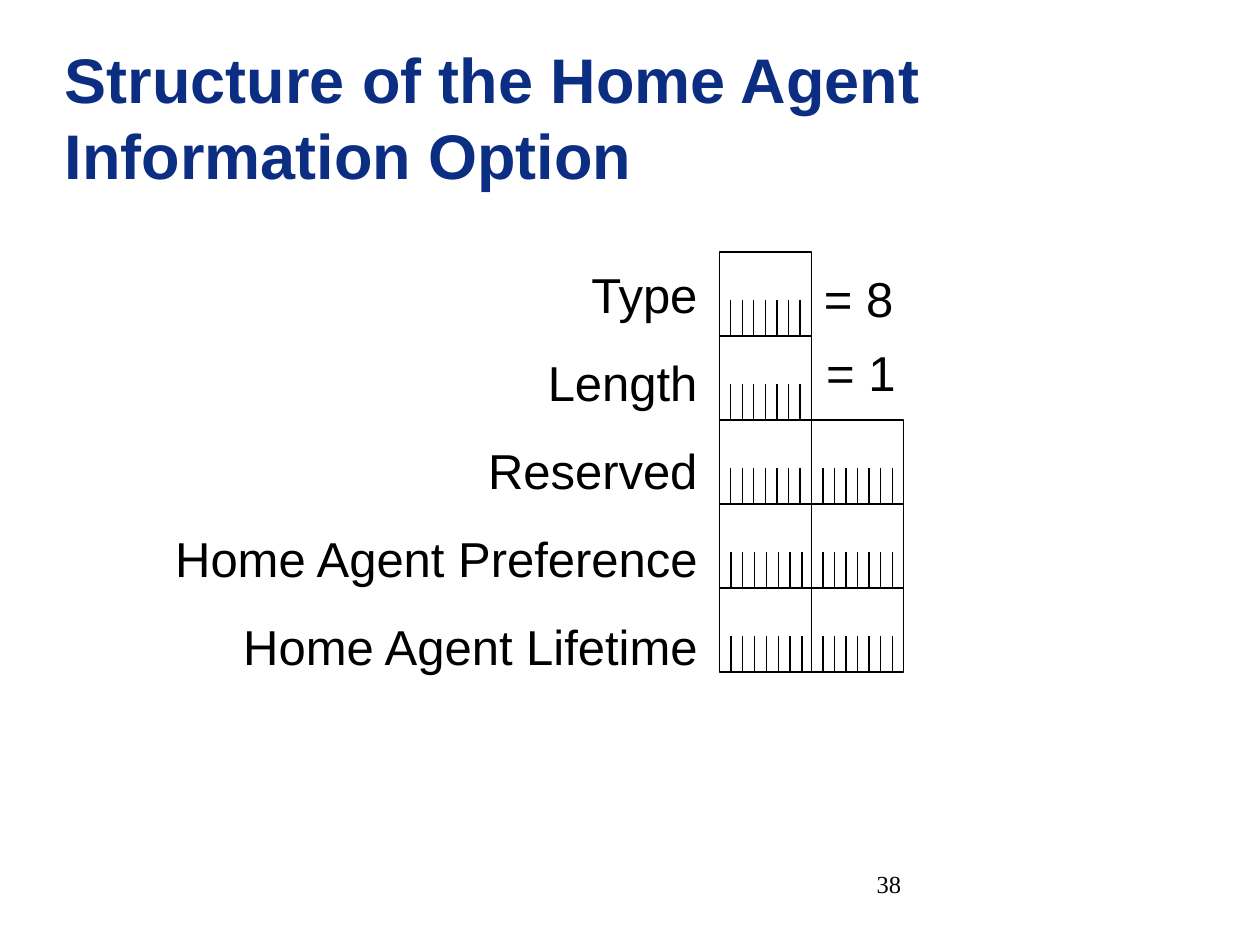
from pptx import Presentation
from pptx.dml.color import RGBColor
from pptx.enum import shapes, text
from pptx.oxml.ns import qn
from pptx.util import Pt
from lxml import etree

TITLE = "Structure of the Home Agent Information Option"
PAGE_NUMBER = "38"
BLACK, WHITE, NAVY = "000000", "FFFFFF", "0C2E82"

FIELDS = [
    ("Type", [52.7]),
    ("Length", [52.7]),
    ("Reserved", [52.7, 52.7]),
    ("Home Agent Preference", [54, 52.7]),
    ("Home Agent Lifetime", [54, 52.7]),
]
VALUES = [("= 8", 463.7, 150), ("= 1", 465, 192)]

GRID_LEFT, GRID_TOP = 411, 144
BYTE_PITCH, ROW_HEIGHT = 52.7, 48
BITS, TICK_HEIGHT = 8, 20.6
LINE_WIDTH = 0.75


def color(value):
    return RGBColor.from_string(value)


def add_text(slide, lines, box, size, font="Arial", fill=BLACK, bold=False,
             align=text.PP_ALIGN.LEFT, wrap=True, gap=0, spacing=None):
    frame = slide.shapes.add_textbox(*map(Pt, box)).text_frame
    frame.word_wrap = wrap
    frame.text = "\n".join(lines)
    for paragraph in frame.paragraphs:
        paragraph.alignment = align
        paragraph.space_after = Pt(gap)
        if spacing:
            paragraph.line_spacing = Pt(spacing)
        for run in paragraph.runs:
            run.font.name = font
            run.font.size = Pt(size)
            run.font.bold = bold
            run.font.color.rgb = color(fill)


def add_tick(slide, x, top, bottom):
    tick = slide.shapes.add_connector(
        shapes.MSO_CONNECTOR.STRAIGHT, Pt(x), Pt(top), Pt(x), Pt(bottom))
    tick.line.color.rgb = color(BLACK)
    tick.line.width = Pt(LINE_WIDTH)
    etree.SubElement(tick._element.spPr, qn("a:effectLst"))


def add_byte(slide, left, top, width):
    byte = slide.shapes.add_shape(
        shapes.MSO_SHAPE.RECTANGLE, Pt(left), Pt(top), Pt(width), Pt(ROW_HEIGHT))
    byte.shadow.inherit = False
    byte.fill.solid()
    byte.fill.fore_color.rgb = color(WHITE)
    byte.line.color.rgb = color(BLACK)
    byte.line.width = Pt(LINE_WIDTH)
    bottom = top + ROW_HEIGHT
    for bit in range(1, BITS):
        add_tick(slide, left + bit * width / BITS, bottom - TICK_HEIGHT, bottom)


def main():
    deck = Presentation()
    deck.slide_width, deck.slide_height = Pt(720), Pt(540)
    slide = deck.slides.add_slide(deck.slide_layouts[6])

    add_text(slide, [TITLE], (30, 19.2, 693, 95), 36, fill=NAVY, bold=True, spacing=43.5)
    add_text(slide, [name for name, _ in FIELDS], (24, 147.7, 381.6, 237), 28,
             align=text.PP_ALIGN.RIGHT, gap=16.7)
    for value, left, top in VALUES:
        add_text(slide, [value], (left, top, 54, 41), 28, wrap=False)
    for row, (_, widths) in enumerate(FIELDS):
        for column, width in enumerate(widths):
            add_byte(slide, GRID_LEFT + column * BYTE_PITCH,
                     GRID_TOP + row * ROW_HEIGHT, width)
    add_text(slide, [PAGE_NUMBER], (372, 493, 150, 36), 14,
             font="Times New Roman", align=text.PP_ALIGN.RIGHT)

    deck.save("out.pptx")


if __name__ == "__main__":
    main()
